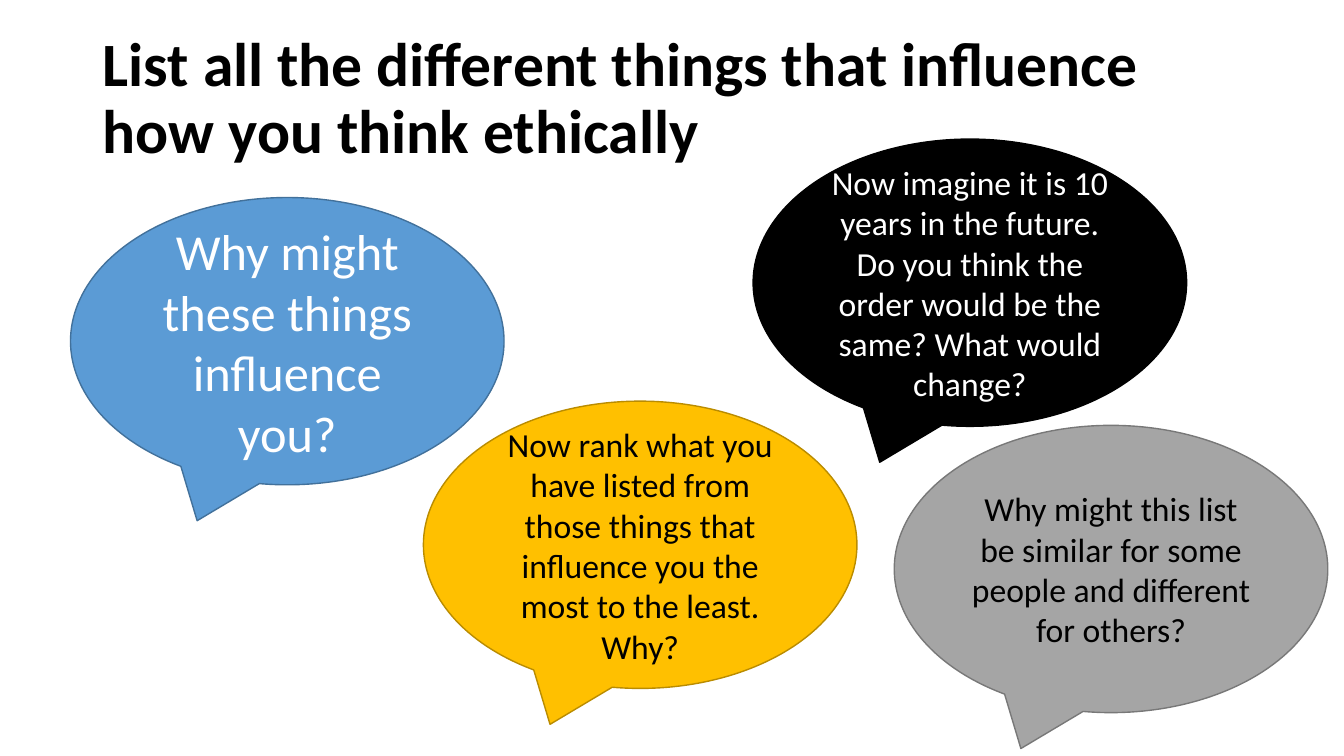
from dataclasses import dataclass

from pptx import Presentation
from pptx.dml.color import RGBColor
from pptx.enum.shapes import MSO_SHAPE
from pptx.enum.text import MSO_ANCHOR, MSO_AUTO_SIZE, PP_ALIGN
from pptx.slide import Slide
from pptx.text.text import TextFrame
from pptx.util import Emu, Pt

CALLOUT = MSO_SHAPE.OVAL_CALLOUT
MIDDLE = MSO_ANCHOR.MIDDLE
NO_AUTOFIT = MSO_AUTO_SIZE.NONE
LEFT = PP_ALIGN.LEFT
CENTER = PP_ALIGN.CENTER

EMU_PER_PX = 9144
FONT = "Calibri"
BLACK = RGBColor(0x00, 0x00, 0x00)
WHITE = RGBColor(0xFF, 0xFF, 0xFF)
BLUE = RGBColor(0x5B, 0x9B, 0xD5)
DARK_BLUE = RGBColor(0x42, 0x71, 0x9B)
GOLD = RGBColor(0xFF, 0xC0, 0x00)
DARK_GOLD = RGBColor(0xBA, 0x8C, 0x00)
GREY = RGBColor(0xA5, 0xA5, 0xA5)
DARK_GREY = RGBColor(0x78, 0x78, 0x78)

BUBBLE_WIDTH = 430
BUBBLE_HEIGHT = 285
BUBBLE_TAIL = (-0.208, 0.625)


@dataclass(frozen=True)
class Bubble:
    question: str
    left: int
    top: int
    fill: RGBColor
    outline: RGBColor
    text_color: RGBColor
    size: int = 24


BUBBLES = (
    Bubble("Why might these things influence you?",
           70, 196, BLUE, DARK_BLUE, WHITE, size=36),
    Bubble("Now rank what you have listed from those things that influence "
           "you the most to the least. Why?",
           420, 398, GOLD, DARK_GOLD, BLACK),
    Bubble("Now imagine it is 10 years in the future. Do you think the order "
           "would be the same? What would change?",
           747, 138, BLACK, BLACK, WHITE),
    Bubble("Why might this list be similar for some people and different "
           "for others?",
           887, 422, GREY, DARK_GREY, BLACK),
)


def px(length: int) -> Emu:
    return Emu(length * EMU_PER_PX)


def write_text(frame: TextFrame, text: str, *, size: int, color: RGBColor,
               align: PP_ALIGN = CENTER, bold: bool = False,
               line_spacing: float = 1.0) -> None:
    frame.word_wrap = True
    frame.auto_size = NO_AUTOFIT
    frame.vertical_anchor = MIDDLE
    frame.margin_left = frame.margin_right = px(10)
    frame.margin_top = frame.margin_bottom = px(5)
    paragraph = frame.paragraphs[0]
    paragraph.alignment = align
    paragraph.line_spacing = line_spacing
    run = paragraph.add_run()
    run.text = text
    run.font.name = FONT
    run.font.size = Pt(size)
    run.font.bold = bold
    run.font.color.rgb = color


def add_heading(slide: Slide) -> None:
    heading = slide.shapes.title
    heading.left, heading.top = px(92), px(27)
    heading.width, heading.height = px(1150), px(145)
    write_text(heading.text_frame,
               "List all the different things that influence how you think "
               "ethically",
               size=44, color=BLACK, align=LEFT, bold=True, line_spacing=0.9)


def add_bubble(slide: Slide, bubble: Bubble) -> None:
    callout = slide.shapes.add_shape(
        CALLOUT, px(bubble.left), px(bubble.top),
        px(BUBBLE_WIDTH), px(BUBBLE_HEIGHT))
    callout.shadow.inherit = False
    callout.adjustments[0], callout.adjustments[1] = BUBBLE_TAIL
    callout.fill.solid()
    callout.fill.fore_color.rgb = bubble.fill
    callout.line.color.rgb = bubble.outline
    callout.line.width = Pt(1)
    write_text(callout.text_frame, bubble.question,
               size=bubble.size, color=bubble.text_color)


def main() -> None:
    presentation = Presentation()
    presentation.slide_width = px(1333)
    presentation.slide_height = px(750)
    title_only = presentation.slide_layouts[5]
    slide = presentation.slides.add_slide(title_only)
    add_heading(slide)
    for bubble in BUBBLES:
        add_bubble(slide, bubble)
    presentation.save("out.pptx")


if __name__ == "__main__":
    main()
